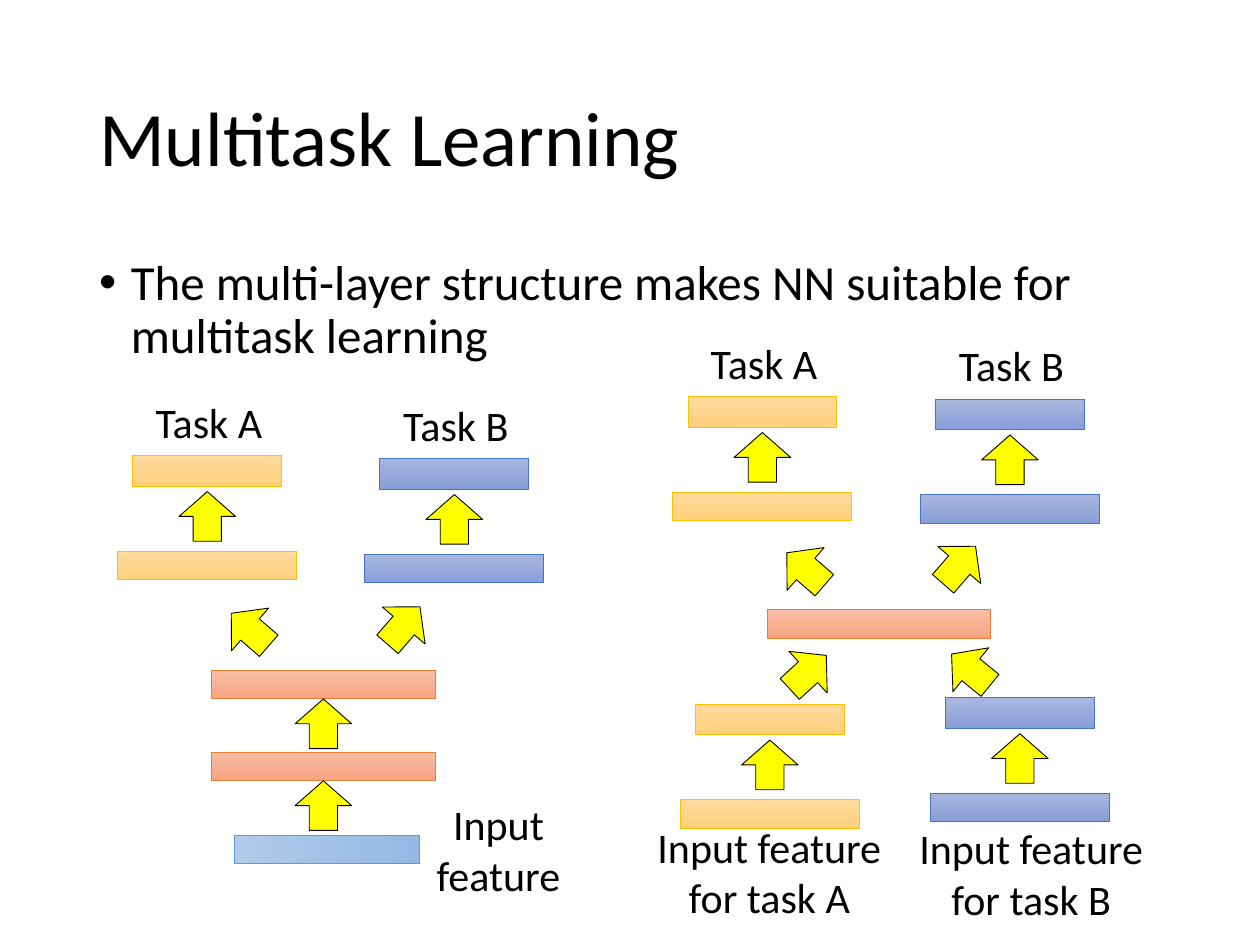
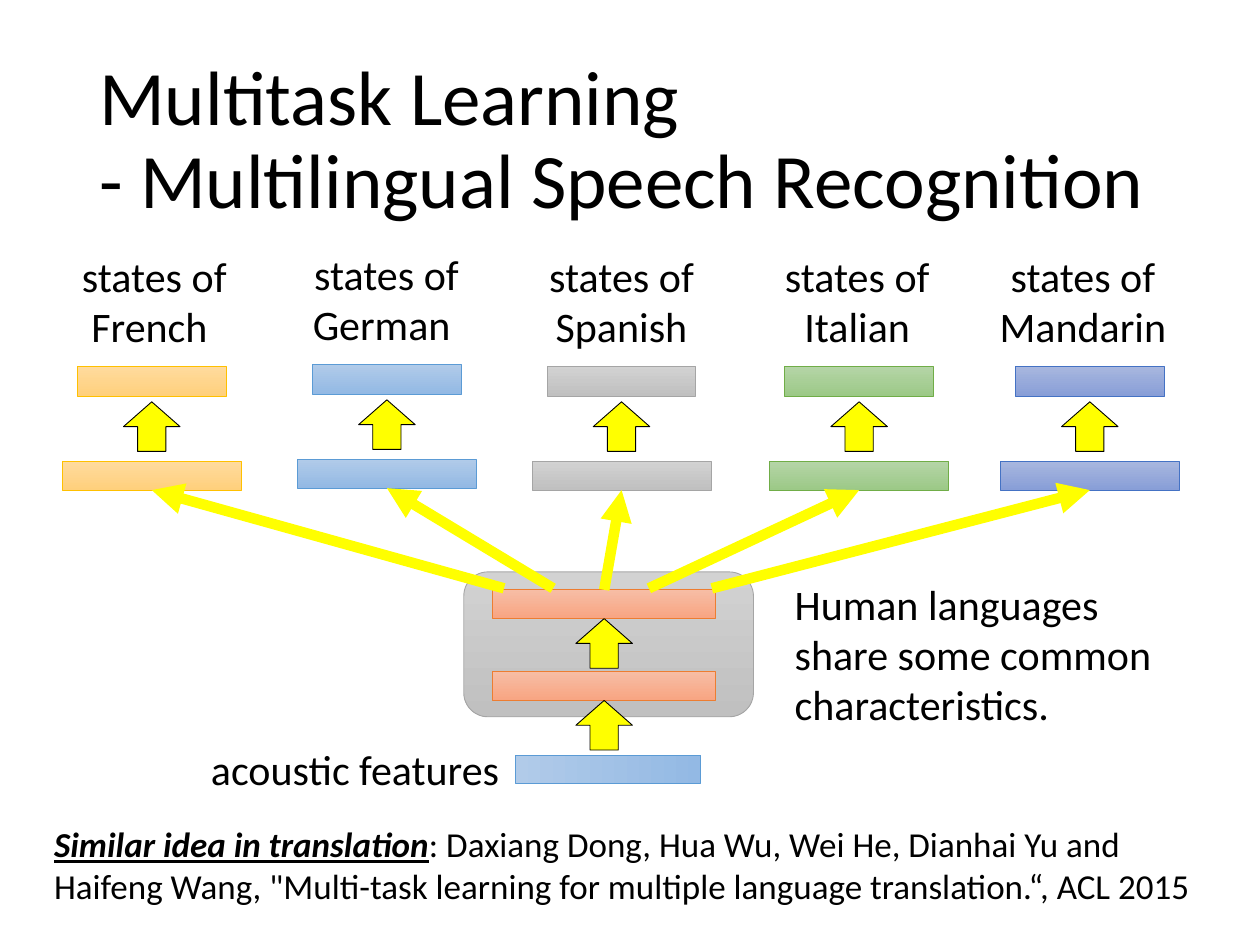
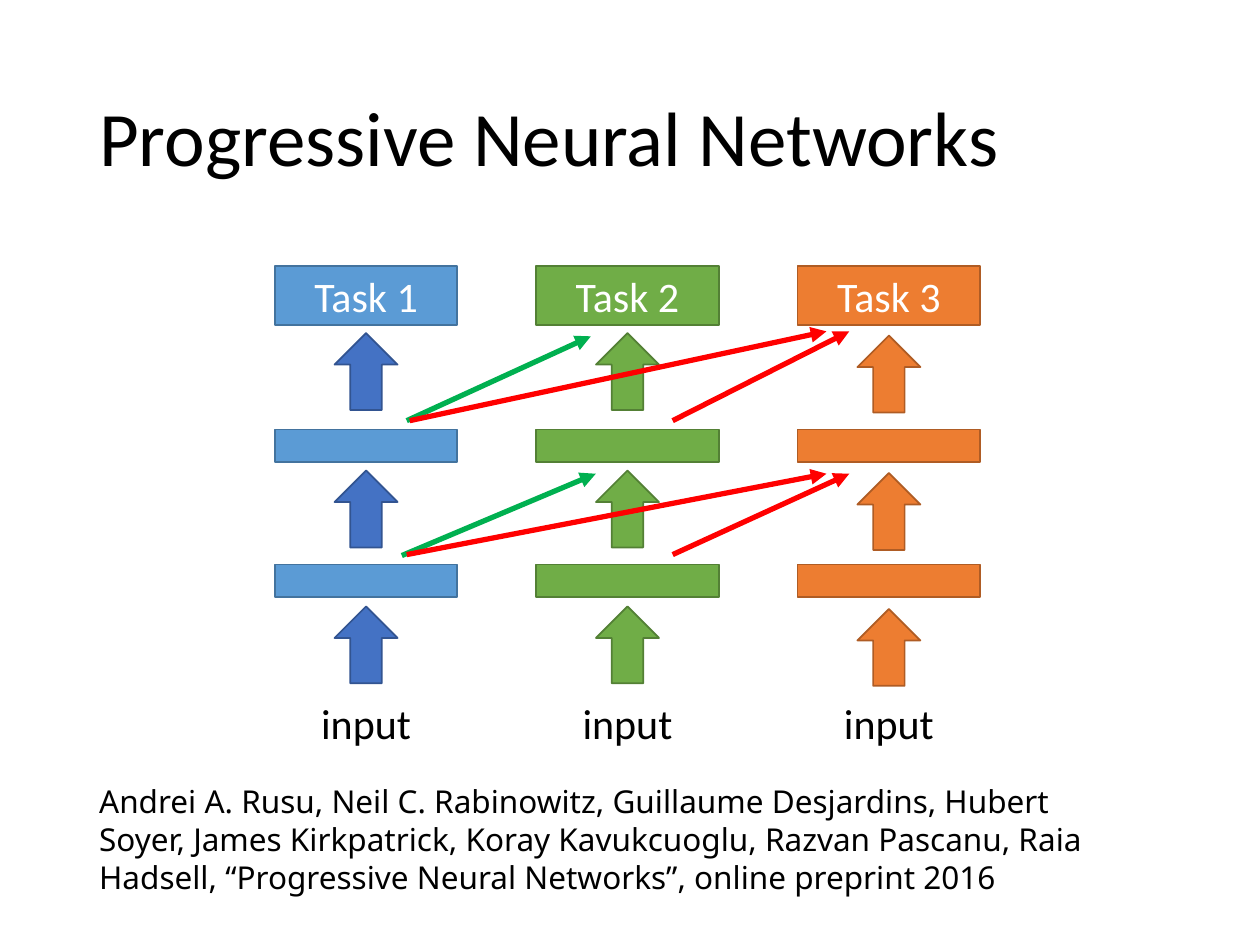
from pptx import Presentation
from pptx.dml.color import RGBColor as Rgb
from pptx.enum.shapes import MSO_CONNECTOR as Link, MSO_SHAPE as Kind
from pptx.enum.text import MSO_ANCHOR as Anchor, MSO_AUTO_SIZE as Auto, PP_ALIGN as Align
from pptx.oxml.ns import qn
from pptx.oxml.xmlchemy import OxmlElement as Node
from pptx.util import Cm, Pt

HUES = {
    "ink": "000000", "white": "FFFFFF", "yellow": "FFFF00",
    "lime": "00B050", "red": "FF0000",
    "blue": "5B9BD5", "green": "70AD47", "orange": "ED7D31", "navy": "4472C4",
    "blue rim": "43739E", "green rim": "538035",
    "orange rim": "AF5C24", "navy rim": "325491",
}
# Soft gradients: first stop, last stop, outline
SOFT = {
    "gold": ("FFDB9E", "FFD07C", "FFC000"),
    "blue": ("B1CBE9", "93B9E4", "5B9BD5"),
    "gray": ("D2D2D2", "C0C0C0", "A5A5A5"),
    "green": ("B5D5A7", "9CC987", "70AD47"),
    "navy": ("A8B7DF", "889ED7", "4472C4"),
    "coral": ("F7BDA5", "F8A582", "ED7D31"),
}
TITLE = (1.75, 1.02, 21.9, 3.68)
LABEL = 4.55  # width of a task label


def hue(name):
    return Rgb.from_string(HUES[name])


class Deck:
    def __init__(self):
        self.prs = Presentation()
        self.prs.slide_width, self.prs.slide_height = Cm(25.4), Cm(19.05)
        self.slide = None

    def page(self, title):
        self.slide = self.prs.slides.add_slide(self.prs.slide_layouts[6])
        para = self.text(TITLE, title, size=44, mid=True)
        para.line_spacing = 0.9

    # Text
    def style(self, runs, color="ink", **fmt):
        for run in runs:
            run.font.color.rgb = hue(color)
            for key, val in fmt.items():
                setattr(run.font, key, val)

    def text(self, box, words, align=Align.LEFT, size=24, name="Calibri",
             mid=False, fit=False):
        frame = self.slide.shapes.add_textbox(*map(Cm, box)).text_frame
        frame.word_wrap = True
        frame.auto_size = Auto.SHAPE_TO_FIT_TEXT if fit else Auto.NONE
        frame.vertical_anchor = Anchor.MIDDLE if mid else Anchor.TOP
        para = frame.paragraphs[0]
        para.text, para.alignment = words, align
        self.style(para.runs, size=Pt(size), name=name)
        return para

    def label(self, mid, top, width, words, high=1.27):
        box = (mid - width / 2, top, width, high)
        return self.text(box, words, Align.CENTER, fit=True)

    def bullet(self, box, words):
        para = self.text(box, words, size=28)
        para.line_spacing, para.space_before = 0.9, Pt(10)
        props = para._p.get_or_add_pPr()
        props.set("marL", str(Cm(0.64)))
        props.set("indent", str(-Cm(0.64)))
        for tag, key, val in (("a:buFont", "typeface", "Arial"), ("a:buChar", "char", "•")):
            node = Node(tag)
            node.set(key, val)
            props.append(node)

    # Shapes
    def shape(self, kind, mid, top, width, high, rim, weight):
        box = (mid - width / 2, top, width, high)
        item = self.slide.shapes.add_shape(kind, *map(Cm, box))
        item.shadow.inherit = False
        item.line.color.rgb = rim
        item.line.width = Pt(weight)
        return item

    def soft(self, mid, top, width, high, tone, kind=Kind.RECTANGLE, angle=270):
        first, last, rim = SOFT[tone]
        item = self.shape(kind, mid, top, width, high, Rgb.from_string(rim), 0.5)
        item.fill.gradient()
        item.fill.gradient_angle = angle
        for stop, code in zip(item.fill.gradient_stops, (first, last)):
            stop.color.rgb = Rgb.from_string(code)
        return item

    def flat(self, kind, mid, top, width, high, color, rim, weight=1):
        item = self.shape(kind, mid, top, width, high, hue(rim), weight)
        item.fill.solid()
        item.fill.fore_color.rgb = hue(color)
        return item

    def arrow(self, mid, cy, turn=270, size=(1.0, 1.14), color="yellow",
              rim="ink", weight=0.5):
        width, high = size
        item = self.flat(Kind.RIGHT_ARROW, mid, cy - high / 2, width, high,
                         color, rim, weight)
        item.rotation = turn

    def line(self, start, end, color, weight):
        item = self.slide.shapes.add_connector(Link.STRAIGHT, *map(Cm, start + end))
        item.line.color.rgb = hue(color)
        item.line.width = Pt(weight)
        props = item.element.spPr
        tip = Node("a:tailEnd")
        tip.set("type", "triangle")
        props.find(qn("a:ln")).append(tip)
        props.append(Node("a:effectLst"))
        return item

    # Network parts
    def tower(self, mid, top, tone):
        """Narrow bar above a wide one; gives back the wide bar."""
        self.soft(mid, top, 3.0, 0.61, tone)
        self.arrow(mid, top + 1.22)
        return self.soft(mid, top + 1.92, 3.61, 0.58, tone)

    def trunk(self, mid, top):
        """Two shared layers on the input; gives back the upper layer."""
        bars = []
        for y in (top, top + 1.65):
            bars.append(self.soft(mid, y, 4.5, 0.58, "coral"))
            self.arrow(mid, y + 1.08)
        self.soft(mid + 0.08, top + 3.34, 3.73, 0.56, "blue", angle=0)
        return bars[0]


def multitask(deck):
    deck.page("Multitask Learning")
    deck.bullet((1.75, 5.08, 21.9, 12.09),
                "The multi-layer structure makes NN suitable for multitask learning")
    # Task towers of both networks
    for mid, top, tone, task in (
            (4.18, 9.19, "gold", "Task A"), (9.16, 9.25, "navy", "Task B"),
            (15.37, 8.0, "gold", "Task A"), (20.36, 8.05, "navy", "Task B")):
        deck.tower(mid, top, tone)
        deck.label(mid + 0.03, top - 1.33, LABEL, task)
    # Shared input on the left
    deck.trunk(6.52, 13.51)
    deck.label(10.05, 15.98, LABEL, "Input\nfeature", 2.31)
    # Separate inputs on the right
    deck.soft(17.72, 12.29, 4.5, 0.58, "coral")
    for mid, top, tone, task, spot in (
            (15.52, 14.2, "gold", "A", (15.51, 16.43)),
            (20.56, 14.07, "navy", "B", (20.79, 16.46))):
        deck.tower(mid, top, tone)
        deck.label(*spot, 5.51, f"Input feature for task {task}", 2.31)
    # Slanted arrows
    for mid, cy, turn in (
            (5.04, 12.69, 220.9), (8.14, 12.61, 310.9),
            (16.24, 11.47, 220.9), (19.34, 11.39, 310.9),
            (16.29, 13.55, 317.4), (19.57, 13.5, 219.2)):
        deck.arrow(mid, cy, turn)


def speech(deck):
    deck.page("Multitask Learning \n- Multilingual Speech Recognition")
    # Shared layers
    deck.soft(12.27, 11.53, 5.84, 2.92, "gray", Kind.ROUNDED_RECTANGLE)
    shared = deck.trunk(12.18, 11.89)
    deck.label(7.16, 14.86, 6.4, "acoustic features")
    deck.text((15.77, 11.53, 8.59, 3.33),
              "Human languages share some common characteristics.", fit=True)
    # One tower per language
    for mid, top, tone, tongue, spot, start in (
            (3.06, 7.38, "gold", "French ", 3.11, 10.16),
            (7.8, 7.34, "blue", "German ", 7.79, 11.15),
            (12.53, 7.38, "gray", "Spanish", 12.53, 12.18),
            (17.32, 7.38, "green", "Italian", 17.28, 13.08),
            (21.97, 7.38, "navy", "Mandarin", 21.83, 14.35)):
        wide = deck.tower(mid, top, tone)
        deck.label(spot, top - 2.46, LABEL, "states of " + tongue, 2.31)
        link = deck.line((start, 11.86), (mid, top + 2.5), "yellow", 6)
        link.end_connect(wide, 2)
        if tongue == "Spanish":
            link.begin_connect(shared, 0)
    # Reference
    para = deck.text((0.84, 16.46, 23.65, 1.96), "Similar idea in translation",
                     size=20, fit=True)
    deck.style(para.runs, bold=True, italic=True, underline=True)
    rest = para.add_run()
    rest.text = (": Daxiang Dong, Hua Wu, Wei He, Dianhai Yu and Haifeng Wang, "
                 "\"Multi-task learning for multiple language translation.“, ACL 2015")
    deck.style([rest], size=Pt(20), name="Calibri")


def progress(deck):
    deck.page("Progressive Neural Networks")
    # Columns of layers
    for num, (color, tint, drop) in enumerate(
            (("blue", "navy", 0), ("green", "green", 0), ("orange", "orange", 0.05))):
        mid = 7.38 + 5.27 * num
        for top, high in ((11.38, 0.66), (8.66, 0.66), (5.36, 1.19)):
            bar = deck.flat(Kind.RECTANGLE, mid, top, 3.68, high, color, color + " rim")
        para = bar.text_frame.paragraphs[0]
        para.text, para.alignment = f"Task {num + 1}", Align.CENTER
        bar.text_frame.vertical_anchor = Anchor.MIDDLE
        deck.style(para.runs, "white", size=Pt(24), name="Calibri")
        for cy in (13.0, 10.26, 7.49):
            deck.arrow(mid, cy + drop, size=(1.55, 1.27), color=tint,
                       rim=tint + " rim", weight=1)
        deck.label(mid, 13.94, 4.06, "input")
    # Links to later tasks
    for start, end, color in (
            ((8.1, 11.2), (12.01, 9.55), "lime"), ((8.2, 8.48), (11.91, 6.78), "lime"),
            ((8.2, 11.18), (16.66, 9.55), "red"), ((8.26, 8.48), (16.66, 6.68), "red"),
            ((13.56, 11.18), (17.12, 9.55), "red"), ((13.56, 8.48), (17.12, 6.68), "red")):
        deck.line(start, end, color, 3)
    # Reference, with names kept together by hard spaces
    names = ("Andrei A. Rusu", "Neil C. Rabinowitz", "Guillaume Desjardins",
             "Hubert Soyer", "James Kirkpatrick", "Koray Kavukcuoglu",
             "Razvan Pascanu, Raia Hadsell")
    deck.text((1.75, 15.65, 22.2, 2.57),
              ("," + chr(160)).join(names)
              + ", “Progressive Neural Networks”, online preprint 2016",
              size=18, name="Noto Sans", fit=True)


def main():
    deck = Deck()
    for build in (multitask, speech, progress):
        build(deck)
    deck.prs.save("out.pptx")


if __name__ == "__main__":
    main()
